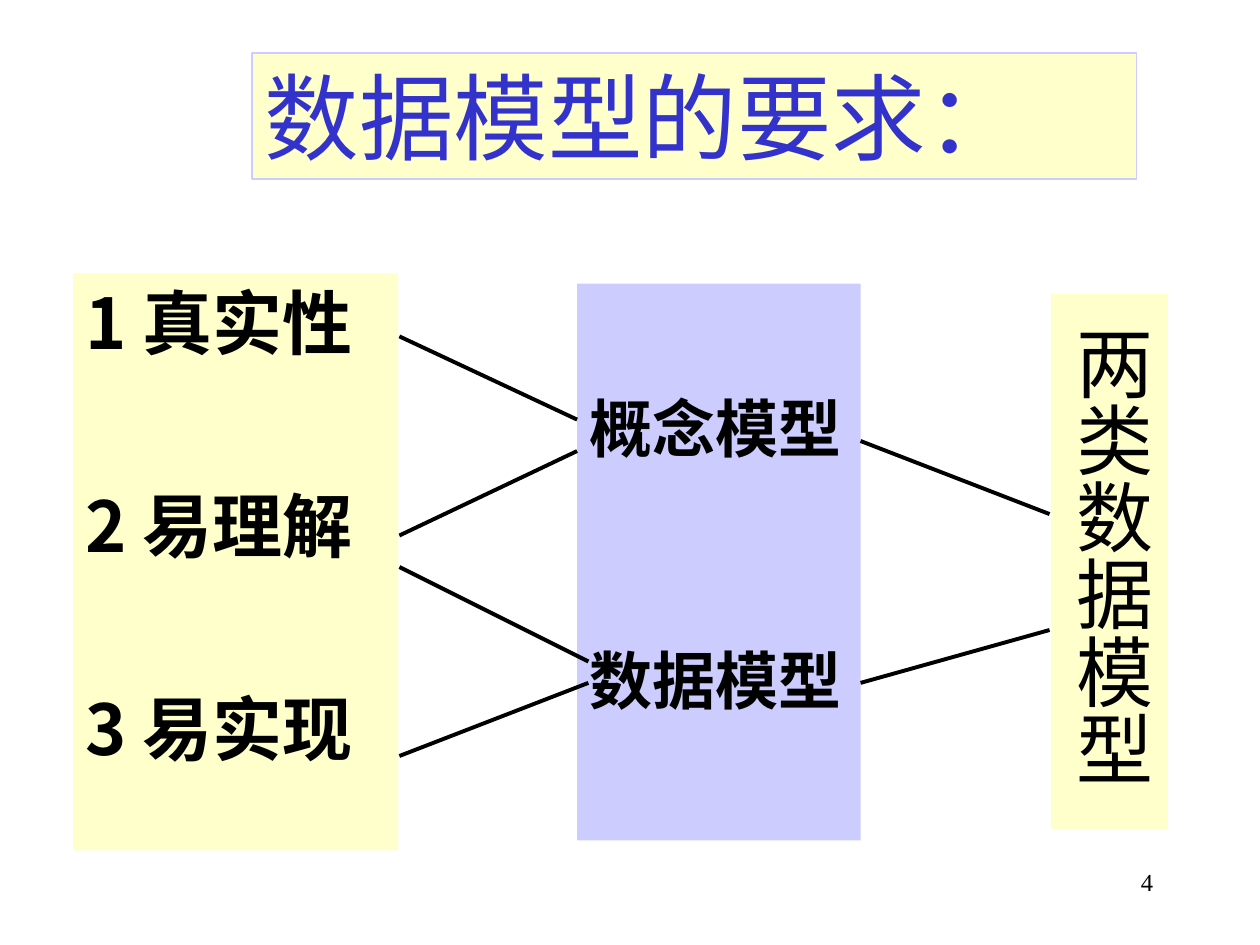
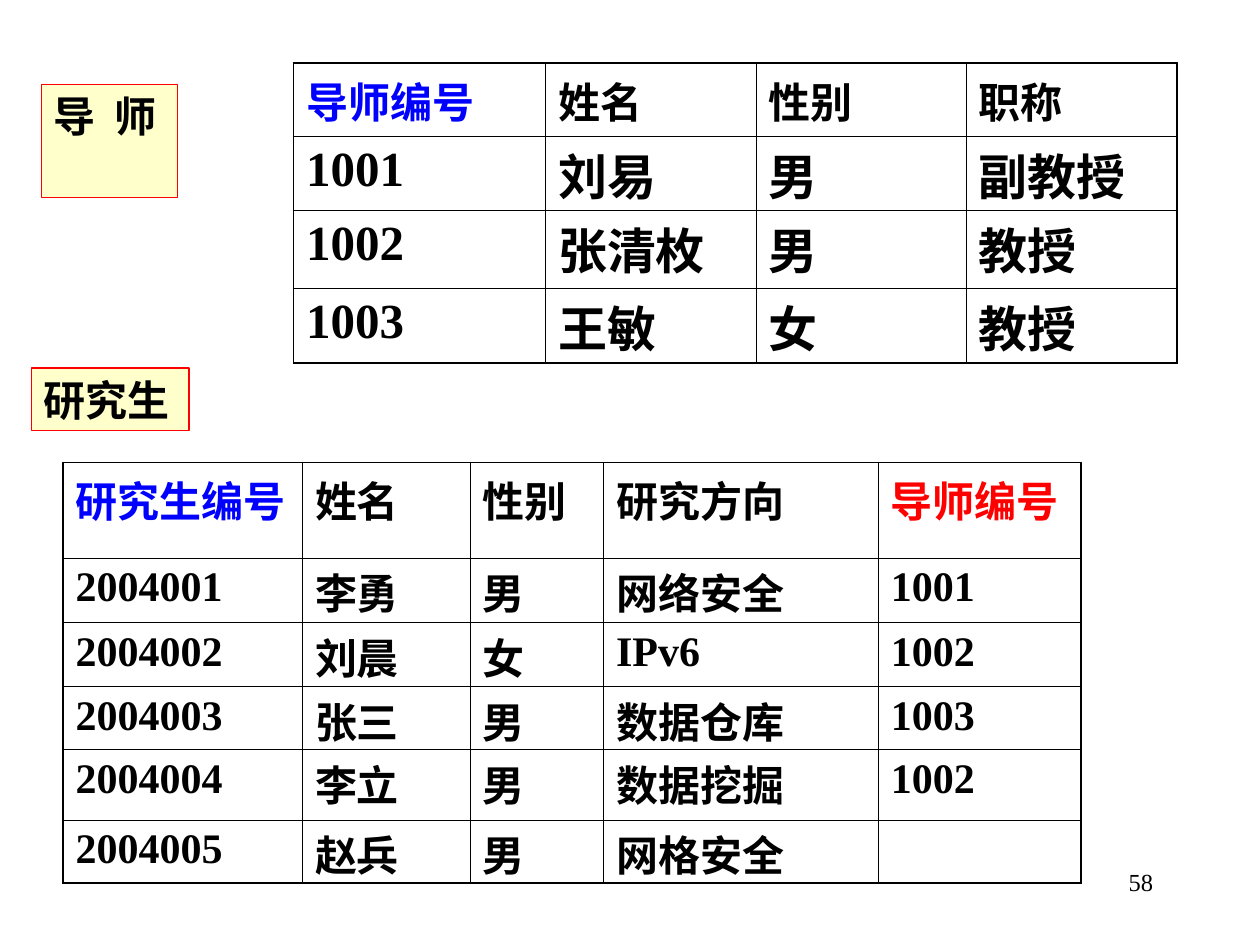
from dataclasses import dataclass

from lxml import etree
from pptx import Presentation
from pptx.dml.color import RGBColor
from pptx.enum.shapes import MSO_CONNECTOR, MSO_SHAPE
from pptx.enum.text import MSO_ANCHOR, MSO_AUTO_SIZE, PP_ALIGN
from pptx.oxml.ns import qn
from pptx.util import Inches, Pt

LEFT, RIGHT, CENTER = PP_ALIGN.LEFT, PP_ALIGN.RIGHT, PP_ALIGN.CENTER
TOP, MIDDLE = MSO_ANCHOR.TOP, MSO_ANCHOR.MIDDLE
TITLE_AND_CONTENT, BLANK = 1, 6


@dataclass(frozen=True)
class Theme:
    black: str = "000000"
    title_blue: str = "3333CC"
    key_blue: str = "0000FF"
    red: str = "FF0000"
    yellow: str = "FFFFCC"
    lilac: str = "CCCCFF"
    latin: str = "Times New Roman"
    cjk: str = "Noto Sans CJK SC"
    cjk_list: str = "Noto Sans CJK JP"
    title: int = 54
    vertical: int = 44
    requirement: int = 40
    model: int = 36
    tutor_row: int = 28
    label: int = 24
    page: int = 14
    cjk_cell_spacing: float = 0.93
    link: float = 2.25
    outline: float = 0.75
    table_edge: float = 1.08
    table_grid: float = 0.45


def sub(parent, tag, **attrs):
    return etree.SubElement(parent, qn(tag), attrs)


def set_values(target, values):
    for name, value in values.items():
        setattr(target, name, value)


class Deck:
    def __init__(self, theme):
        self.theme = theme
        self.prs = Presentation()
        self.prs.slide_width, self.prs.slide_height = Inches(10), Inches(7.5)
        self.s = None

    def slide(self, layout, page):
        self.s = self.prs.slides.add_slide(self.prs.slide_layouts[layout])
        sp = self.s.shapes.add_textbox(*map(Inches, (7.17, 6.83, 2.08, 0.5)))
        self.text(sp, [page], self.theme.page, align=RIGHT)

    def run(self, p, text, size, color=None, bold=False, latin=None, cjk=None, spacing=0):
        r = p.add_run()
        r.text = text
        set_values(r.font, {"size": Pt(size), "bold": bold, "name": latin or self.theme.latin})
        r.font.color.rgb = RGBColor.from_string(color or self.theme.black)
        rpr = r.font._element
        sub(rpr, "a:ea", typeface=cjk or self.theme.cjk)
        if spacing:
            rpr.set("spc", str(spacing))

    def text(self, sp, lines, size, align=LEFT, anchor=TOP, top=0.05, gap=0, **font):
        tf = sp.text_frame
        set_values(tf, {
            "word_wrap": True, "auto_size": MSO_AUTO_SIZE.NONE, "vertical_anchor": anchor,
            "margin_left": Inches(0.1), "margin_right": Inches(0.1),
            "margin_top": Inches(top), "margin_bottom": Inches(0.05)})
        for i, line in enumerate(lines):
            p = tf.add_paragraph() if i else tf.paragraphs[0]
            ppr = p._p.get_or_add_pPr()
            ppr.set("marL", "0")
            ppr.set("indent", "0")
            sub(ppr, "a:buNone")
            set_values(p, {"alignment": align, "line_spacing": 1.0,
                           "space_before": Pt(gap if i else 0)})
            self.run(p, line, size, **font)

    def paint(self, sp, fill, line=None):
        sp.fill.solid()
        sp.fill.fore_color.rgb = RGBColor.from_string(fill)
        if line:
            sp.line.color.rgb = RGBColor.from_string(line)
            sp.line.width = Pt(self.theme.outline)
        else:
            sp.line.fill.background()

    def placeholder(self, idx, at, fill, line=None):
        """Move and colour a placeholder of the current layout."""
        sp = self.s.placeholders[idx]
        set_values(sp, dict(zip(("left", "top", "width", "height"), map(Inches, at))))
        self.paint(sp, fill, line)
        return sp

    def box(self, at, fill, line=None):
        sp = self.s.shapes.add_shape(MSO_SHAPE.RECTANGLE, *map(Inches, at))
        sp.shadow.inherit = False
        self.paint(sp, fill, line)
        return sp

    def vertical_box(self, at, text):
        sp = self.box(at, self.theme.yellow)
        self.text(sp, [text], self.theme.vertical, align=CENTER, anchor=MIDDLE, top=0.25)
        tf = sp.text_frame
        set_values(tf, {"margin_left": Inches(0.1), "margin_right": Inches(0)})
        tf._txBody.bodyPr.set("vert", "eaVert")

    def label(self, at, text, spacing=0):
        sp = self.box(at, self.theme.yellow, self.theme.red)
        self.text(sp, [text], self.theme.label, bold=True, spacing=spacing)

    def link(self, x1, y1, x2, y2):
        cn = self.s.shapes.add_connector(MSO_CONNECTOR.STRAIGHT, *map(Inches, (x1, y1, x2, y2)))
        cn.line.color.rgb = RGBColor.from_string(self.theme.black)
        cn.line.width = Pt(self.theme.link)
        sub(cn._element.spPr, "a:effectLst")

    def borders(self, cell, edges):
        """Draw the four cell borders; edges tells which ones lie on the table's rim."""
        tcpr = cell._tc.get_or_add_tcPr()
        for i, (side, on_rim) in enumerate(edges.items()):
            width = self.theme.table_edge if on_rim else self.theme.table_grid
            ln = etree.Element(qn("a:" + side), w=str(Pt(width)))
            sub(sub(ln, "a:solidFill"), "a:srgbClr", val=self.theme.black)
            tcpr.insert(i, ln)

    def table(self, left, top, widths, heights, rows, size, key_colors):
        """Add a grid; key_colors maps a header column to its text colour."""
        frame = self.s.shapes.add_table(
            len(rows), len(widths), *map(Inches, (left, top, sum(widths), sum(heights))))
        tbl = frame.table
        set_values(tbl, {"first_row": False, "horz_banding": False})
        for col, width in zip(tbl.columns, widths):
            col.width = Inches(width)
        for row, height in zip(tbl.rows, heights):
            row.height = Inches(height)
        for i, row in enumerate(rows):
            for j, value in enumerate(row):
                cell = tbl.cell(i, j)
                cell.fill.background()
                set_values(cell, {"margin_left": Inches(0.1), "margin_right": Inches(0.1),
                                  "margin_top": Inches(0.05), "margin_bottom": 0})
                self.borders(cell, {"lnL": j == 0, "lnR": j == len(row) - 1,
                                    "lnT": i == 0, "lnB": i == len(rows) - 1})
                if value:
                    p = cell.text_frame.paragraphs[0]
                    if i and not value.isascii():
                        p.line_spacing = self.theme.cjk_cell_spacing
                    color = None if i else key_colors.get(j)
                    self.run(p, value, size if i else self.theme.label, color, bold=True)


def requirements_slide(deck):
    t = deck.theme
    deck.slide(TITLE_AND_CONTENT, "4")
    models = deck.placeholder(1, (4.58, 2.25, 2.25, 4.42), t.lilac)
    deck.text(models, ["概念模型", "数据模型"], t.model, top=0.84, gap=101,
              bold=True, latin=t.cjk)
    deck.vertical_box((8.34, 2.33, 0.93, 4.25), "两类数据模型")
    for ends in ((3.17, 2.67, 4.58, 3.33), (3.17, 4.25, 4.58, 3.58),
                 (3.17, 4.5, 4.67, 5.25), (3.17, 6, 4.67, 5.42),
                 (6.83, 3.5, 8.33, 4.08), (6.83, 5.42, 8.33, 5)):
        deck.link(*ends)
    title = deck.placeholder(0, (2, 0.42, 7.02, 1), t.yellow, t.lilac)
    deck.text(title, ["数据模型的要求："], t.title, anchor=MIDDLE, color=t.title_blue)
    needs = deck.box((0.58, 2.17, 2.58, 4.58), t.yellow)
    deck.text(needs, ["1 真实性", "2 易理解", "3 易实现"], t.requirement, gap=68,
              bold=True, latin=t.cjk_list, cjk=t.cjk_list)


def tables_slide(deck):
    t = deck.theme
    deck.slide(BLANK, "58")
    deck.table(2.33, 0.5, [2] + [1.67] * 3, [0.58, 0.59, 0.62, 0.59], [
        ("导师编号", "姓名", "性别", "职称"),
        ("1001", "刘易", "男", "副教授"),
        ("1002", "张清枚", "男", "教授"),
        ("1003", "王敏", "女", "教授"),
    ], t.tutor_row, {0: t.key_blue})
    deck.table(0.5, 3.67, [1.9, 1.33, 1.06, 2.18, 1.61], [0.76, 0.51, 0.51, 0.5, 0.56, 0.5], [
        ("研究生编号", "姓名", "性别", "研究方向", "导师编号"),
        ("2004001", "李勇", "男", "网络安全", "1001"),
        ("2004002", "刘晨", "女", "IPv6", "1002"),
        ("2004003", "张三", "男", "数据仓库", "1003"),
        ("2004004", "李立", "男", "数据挖掘", "1002"),
        ("2004005", "赵兵", "男", "网格安全", ""),
    ], t.label, {0: t.key_blue, 4: t.red})
    deck.label((0.33, 0.67, 1.08, 0.9), "导 师", spacing=270)
    deck.label((0.25, 2.92, 1.25, 0.5), "研究生")


def main():
    deck = Deck(Theme())
    requirements_slide(deck)
    tables_slide(deck)
    deck.prs.save("out.pptx")


if __name__ == "__main__":
    main()
